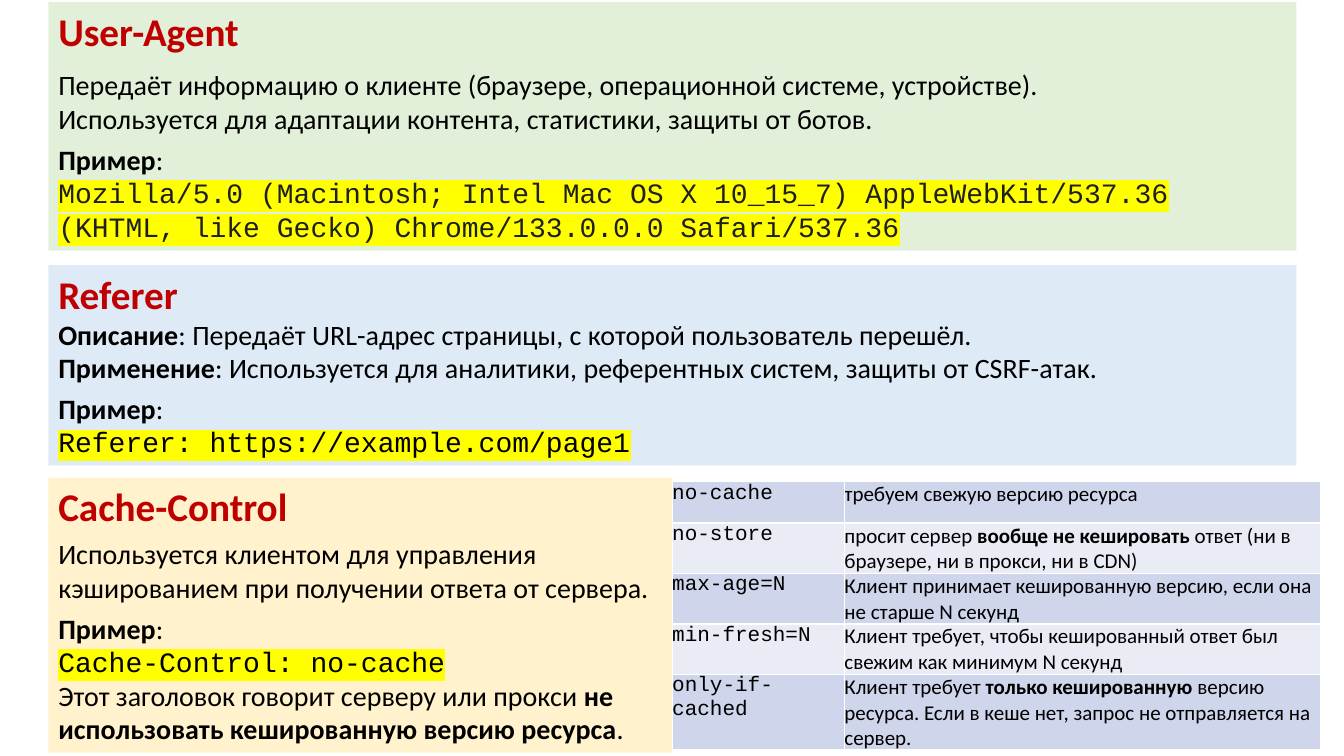
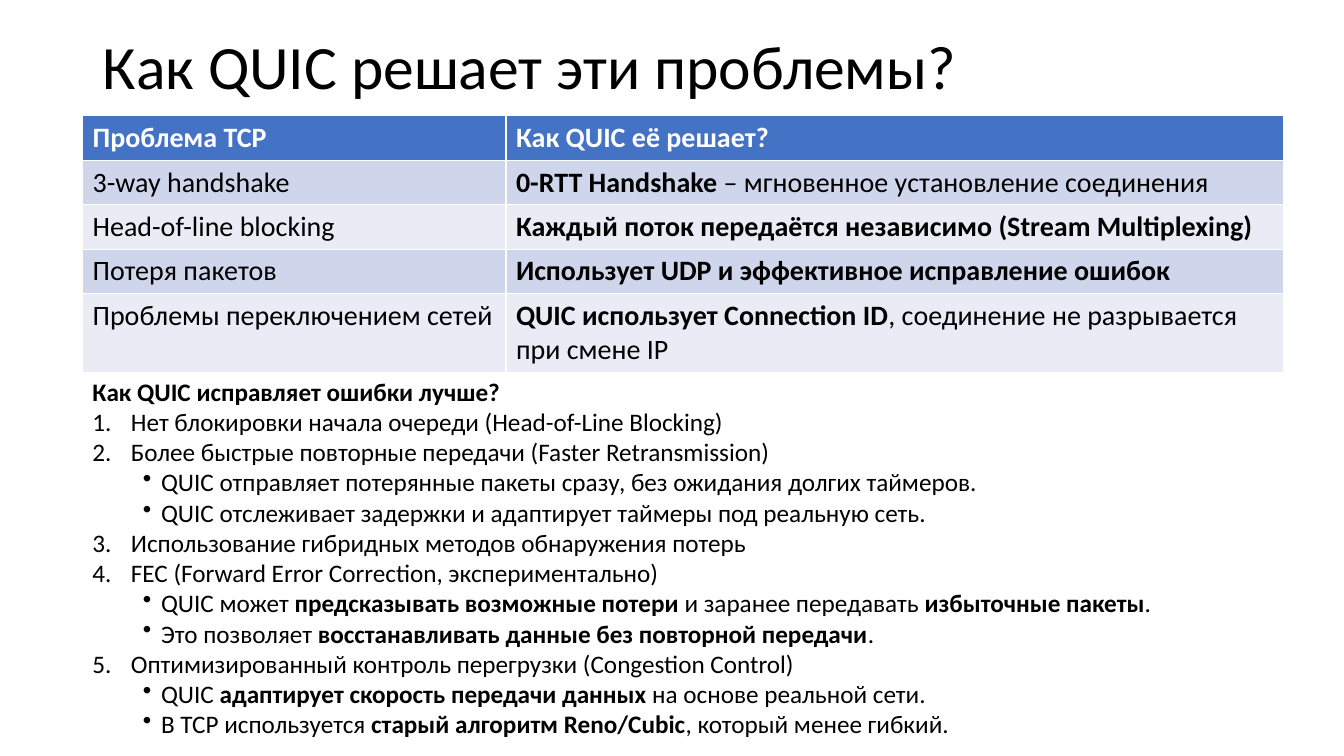
from lxml import etree
from pptx import Presentation
from pptx.dml.color import RGBColor
from pptx.enum.shapes import MSO_SHAPE
from pptx.enum.text import MSO_ANCHOR, MSO_AUTO_SIZE, PP_ALIGN
from pptx.oxml.ns import qn
from pptx.util import Cm, Pt

RECT = MSO_SHAPE.RECTANGLE
TOP, MIDDLE = MSO_ANCHOR.TOP, MSO_ANCHOR.MIDDLE
GROW, FIXED = MSO_AUTO_SIZE.SHAPE_TO_FIT_TEXT, MSO_AUTO_SIZE.NONE
LEFT = PP_ALIGN.LEFT

BLACK = RGBColor(0x00, 0x00, 0x00)
WHITE = RGBColor(0xFF, 0xFF, 0xFF)
GREY = RGBColor(0x1F, 0x1F, 0x1F)
RED = RGBColor(0xC0, 0x00, 0x00)
YELLOW = RGBColor(0xFF, 0xFF, 0x00)
GREEN = RGBColor(0xE2, 0xF0, 0xD9)
SKY = RGBColor(0xDE, 0xEB, 0xF7)
CREAM = RGBColor(0xFF, 0xF2, 0xCC)
BLUE = RGBColor(0x44, 0x72, 0xC4)
BANDS = RGBColor(0xCF, 0xD5, 0xEA), RGBColor(0xE9, 0xEB, 0xF5)

SANS, MONO = "Calibri", "Courier New"
BODY = {"name": SANS, "size": Pt(20), "bold": False}
HEAD = {"name": SANS, "size": Pt(28), "bold": True}
SMALL = {"name": SANS, "size": Pt(15), "bold": False}
ITEM = {"name": SANS, "size": Pt(18), "bold": False}
TITLE = {"name": SANS, "size": Pt(44), "bold": False}


def apply(target, values):
    for key, value in values.items():
        setattr(target, key, value)


class Deck:
    """Holds the shared style and the current slide."""

    def __init__(self):
        self.prs = Presentation()
        apply(self.prs, {"slide_width": Cm(33.87), "slide_height": Cm(19.05)})
        self.slide = None

    def start(self, title=None):
        layout = self.prs.slide_layouts[5 if title else 6]
        self.slide = self.prs.slides.add_slide(layout)
        if title:
            shape = self.slide.shapes.title
            apply(shape, {"left": Cm(2.34), "top": Cm(0.74),
                          "width": Cm(29.21), "height": Cm(2.01)})
            apply(shape.text_frame, {"auto_size": FIXED, "vertical_anchor": MIDDLE})
            para = shape.text_frame.paragraphs[0]
            apply(para, {"alignment": LEFT, "line_spacing": 0.9})
            self.rich(para, title, TITLE)

    def run(self, para, text, look, ink, mark=None):
        run = para.add_run()
        run.text = text
        run.font.color.rgb = ink
        if mark is not None:
            light = etree.SubElement(run.font._element, qn("a:highlight"))
            etree.SubElement(light, qn("a:srgbClr"), val=str(mark))
        apply(run.font, look)

    def rich(self, para, text, look, ink=BLACK, mark=None, code=BLACK):
        """Writes text where *...* is bold, `...` is code and \\n breaks the line."""
        for row, line in enumerate(text.split("\n")):
            if row:
                para.add_line_break()
            for i, part in enumerate(line.split("`")):
                for j, piece in enumerate(part.split("*")):
                    if piece and i % 2:
                        self.run(para, piece, look | {"name": MONO}, code, mark)
                    elif piece:
                        bold = look["bold"] or j % 2 == 1
                        self.run(para, piece, look | {"bold": bold}, ink)

    def box(self, place, fill, head, lines, code=BLACK):
        """Filled panel: a heading, then lines of (space before, text)."""
        shape = self.slide.shapes.add_shape(RECT, *map(Cm, place))
        shape.shadow.inherit = False
        shape.fill.solid()
        shape.fill.fore_color.rgb = fill
        shape.line.fill.background()
        frame = shape.text_frame
        apply(frame, {"word_wrap": True, "vertical_anchor": TOP, "auto_size": GROW})
        para = frame.paragraphs[0]
        para.alignment = LEFT
        self.rich(para, head, HEAD, RED)
        for gap, text in lines:
            para = frame.add_paragraph()
            apply(para, {"alignment": LEFT, "space_before": Pt(gap)})
            self.rich(para, text, BODY, mark=YELLOW, code=code)

    def table(self, left, top, widths, rows, look, header=False, inset=None):
        high = Cm(1.04)
        grid = self.slide.shapes.add_table(
            len(rows), len(widths), Cm(left), Cm(top),
            Cm(sum(widths)), high * len(rows)).table
        grid.first_row = header
        for col, width in zip(grid.columns, widths):
            col.width = Cm(width)
        for r, row in enumerate(rows):
            grid.rows[r].height = high
            top_row = header and r == 0
            for c, text in enumerate(row):
                cell = grid.cell(r, c)
                cell.fill.solid()
                cell.fill.fore_color.rgb = BLUE if top_row else BANDS[(r - header) % 2]
                if inset is not None:
                    sides = "left", "top", "right", "bottom"
                    apply(cell, {"margin_" + side: Cm(inset) for side in sides})
                self.rich(cell.text_frame.paragraphs[0], text,
                          look | {"bold": top_row}, WHITE if top_row else BLACK)

    def bullet(self, para, level):
        """Numbers level 0 and dots level 1."""
        para.level = level
        props = para._p.get_or_add_pPr()
        margin, hang = ((0.97, 0.97), (1.73, 0.46))[level]
        props.set("marL", str(Cm(margin)))
        props.set("indent", str(-Cm(hang)))
        if level:
            etree.SubElement(props, qn("a:buChar"), char="•")
        else:
            etree.SubElement(props, qn("a:buFont"), typeface="+mj-lt")
            etree.SubElement(props, qn("a:buAutoNum"), type="arabicPeriod")

    def outline(self, place, head, items):
        """Text box with a bold line and a list of (level, text)."""
        frame = self.slide.shapes.add_textbox(*map(Cm, place)).text_frame
        apply(frame, {"word_wrap": True, "auto_size": GROW})
        self.rich(frame.paragraphs[0], head, ITEM | {"bold": True})
        for level, text in items:
            para = frame.add_paragraph()
            self.bullet(para, level)
            self.rich(para, text, ITEM)


def headers(deck):
    deck.start()
    # Request header panels
    deck.box((1.22, 0.05, 31.45, 6.27), GREEN, "User-Agent", [
        (10, "Передаёт информацию о клиенте (браузере, операционной системе, устройстве).\n"
             "Используется для адаптации контента, статистики, защиты от ботов."),
        (5, "*Пример*:"),
        (0, "`Mozilla/5.0 (Macintosh; Intel Mac OS X 10_15_7) AppleWebKit/537.36 "
            "(KHTML, like Gecko) Chrome/133.0.0.0 Safari/537.36`"),
    ], code=GREY)
    deck.box((1.22, 6.68, 31.45, 5.05), SKY, "Referer", [
        (0, "*Описание*: Передаёт URL-адрес страницы, с которой пользователь перешёл."),
        (0, "*Применение*: Используется для аналитики, референтных систем, "
            "защиты от CSRF-атак."),
        (5, "*Пример*:"),
        (0, "`Referer: https://example.com/page1`"),
    ])
    deck.box((1.22, 12.04, 15.72, 6.93), CREAM, "Cache-Control", [
        (5, "Используется клиентом для управления кэшированием "
            "при получении ответа от сервера."),
        (5, "*Пример*:"),
        (0, "`Cache-Control: no-cache`\nЭтот заголовок говорит серверу или прокси "
            "*не использовать кешированную версию ресурса*."),
    ])
    # Cache directives
    deck.table(16.94, 12.14, (4.34, 12.01), [
        ("`no-cache`", "требуем свежую версию ресурса"),
        ("`no-store`", "просит сервер *вообще не кешировать* ответ "
                       "(ни в браузере, ни в прокси, ни в CDN)"),
        ("`max-age=N`", "Клиент принимает кешированную версию, "
                        "если она не старше N секунд"),
        ("`min-fresh=N`", "Клиент требует, чтобы кешированный ответ "
                          "был свежим как минимум N секунд"),
        ("`only-if-cached`", "Клиент требует *только кешированную* версию ресурса. "
                             "Если в кеше нет, запрос не отправляется на сервер."),
    ], SMALL, inset=0)


def quic(deck):
    deck.start("Как QUIC решает эти проблемы?")
    # Problems and answers
    deck.table(2.08, 2.92, (10.67, 19.61), [
        ("Проблема TCP", "Как QUIC её решает?"),
        ("3-way handshake", "*0-RTT Handshake* – мгновенное установление соединения"),
        ("Head-of-line blocking",
         "*Каждый поток передаётся независимо (Stream Multiplexing)*"),
        ("Потеря пакетов", "*Использует UDP и эффективное исправление ошибок*"),
        ("Проблемы переключением сетей",
         "*QUIC использует Connection ID*, соединение не разрывается при смене IP"),
    ], BODY, header=True)
    # Error recovery
    deck.outline((2.08, 9.35, 30.28, 9.5), "Как QUIC исправляет ошибки лучше?", [
        (0, "Нет блокировки начала очереди (Head-of-Line Blocking)"),
        (0, "Более быстрые повторные передачи (Faster Retransmission)"),
        (1, "QUIC отправляет потерянные пакеты сразу, без ожидания долгих таймеров."),
        (1, "QUIC отслеживает задержки и адаптирует таймеры под реальную сеть."),
        (0, "Использование гибридных методов обнаружения потерь"),
        (0, "FEC (Forward Error Correction, экспериментально)"),
        (1, "QUIC может *предсказывать возможные потери* и заранее передавать "
            "*избыточные пакеты*."),
        (1, "Это позволяет *восстанавливать данные без повторной передачи*."),
        (0, "Оптимизированный контроль перегрузки (Congestion Control)"),
        (1, "QUIC *адаптирует скорость передачи данных* на основе реальной сети."),
        (1, "В TCP используется *старый алгоритм Reno/Cubic*, который менее гибкий."),
    ])


def main():
    deck = Deck()
    headers(deck)
    quic(deck)
    deck.prs.save("out.pptx")


if __name__ == "__main__":
    main()
